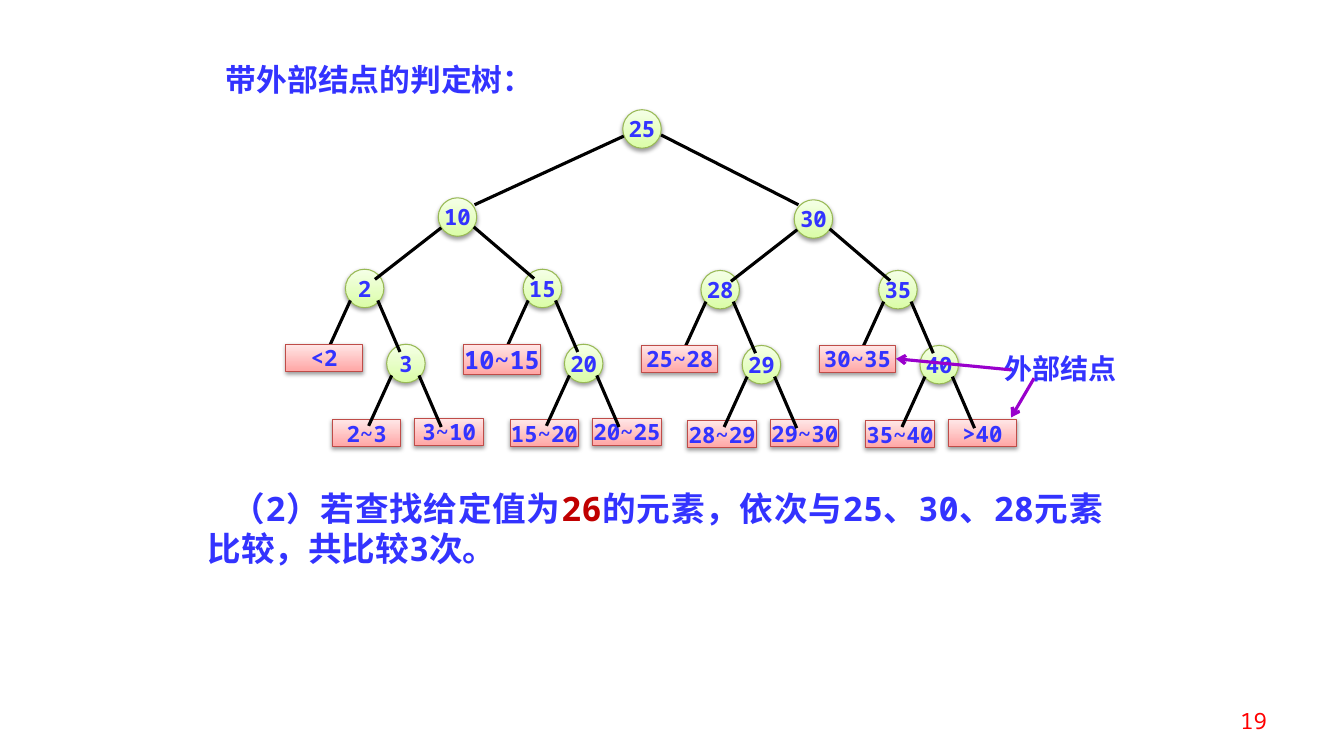
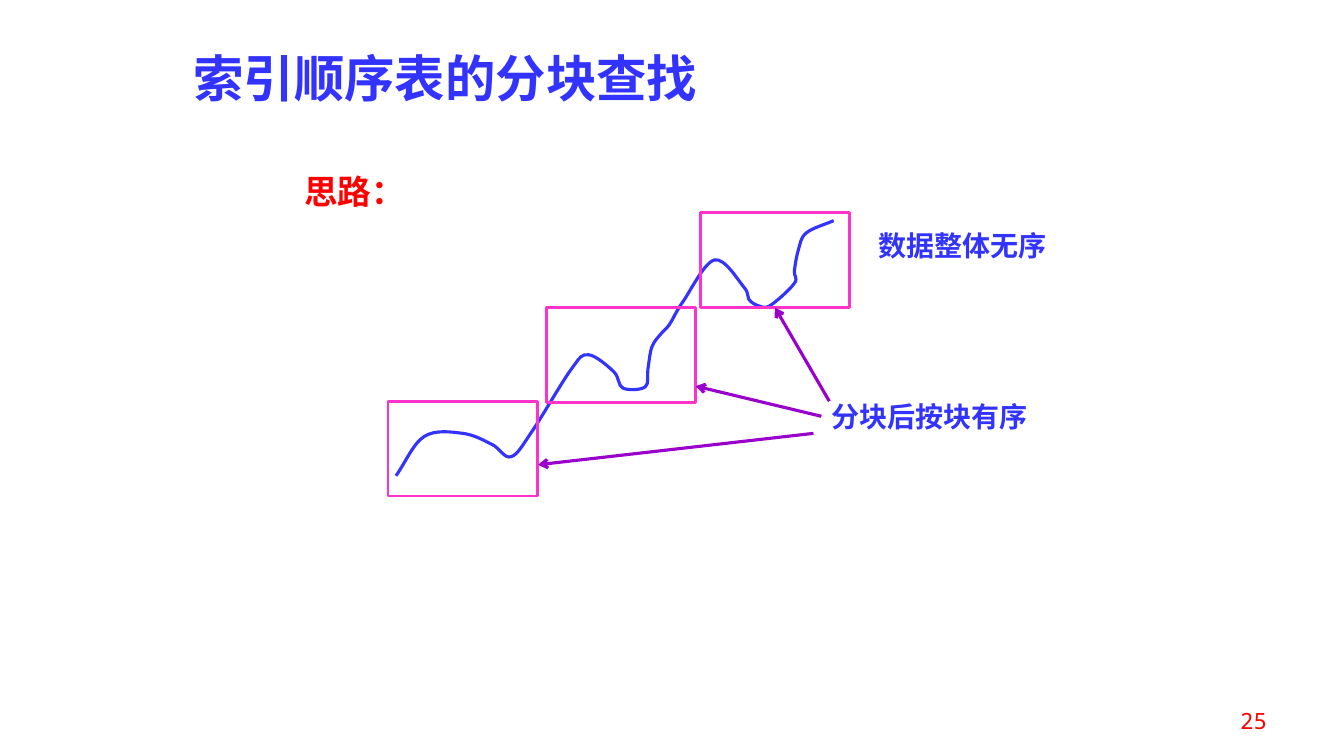
from dataclasses import dataclass

from lxml import etree
from pptx import Presentation
from pptx.dml.color import RGBColor
from pptx.enum import shapes, text
from pptx.oxml import ns
from pptx.util import Cm, Pt


@dataclass(frozen=True)
class Theme:
    mono: str = "Noto Sans Mono"
    sans: str = "Noto Sans CJK SC"
    blue: str = "3333FF"
    red: str = "FF0000"
    dark_red: str = "C00000"
    purple: str = "9900CC"
    pink: str = "FF33CC"
    black: str = "000000"
    node_fill: tuple = ("DAFDA7", "F5FFE7")
    node_line: str = "98B955"
    leaf_fill: tuple = ("FFA6A5", "FFE7E7")
    leaf_line: str = "BF4C48"
    heading: int = 36
    body: int = 24
    subheading: int = 22
    label: int = 20
    large_key: int = 18
    key: int = 16
    stroke: float = 2.25


THEME = Theme()
LEFT, CENTER = text.PP_ALIGN.LEFT, text.PP_ALIGN.CENTER
RIGHT, JUSTIFY = text.PP_ALIGN.RIGHT, text.PP_ALIGN.JUSTIFY
TOP, MIDDLE = text.MSO_ANCHOR.TOP, text.MSO_ANCHOR.MIDDLE


def rgb(code):
    return RGBColor.from_string(code)


def add_xml(parent, tag, **attributes):
    return etree.SubElement(parent, ns.qn(tag), attributes)


class Board:
    """Holds the style and the page being drawn; lengths are centimetres."""

    def __init__(self, theme):
        self.theme = theme
        self.deck = Presentation()
        self.deck.slide_width, self.deck.slide_height = Cm(33.87), Cm(19.05)
        self.page = None
        self.font = theme.mono

    def start_page(self, title, place, size, number, font):
        layout = self.deck.slide_layouts.get_by_name("Title Only")
        self.page = self.deck.slides.add_slide(layout)
        self.font = font
        box = self.page.shapes.title
        box.left, box.top, box.width, box.height = map(Cm, place)
        self.set_text(box, [(title, None)], size)
        self.text_box((24.28, 17.65, 7.9, 1.02), number, self.theme.key,
                      self.theme.red, align=RIGHT, anchor=MIDDLE, bold=False,
                      font=self.theme.mono)

    def set_text(self, box, spans, size, color=None, align=LEFT, anchor=TOP,
                 bold=True, font=None):
        """Fill a box with one paragraph of (wording, own colour) spans."""
        frame = box.text_frame
        frame.auto_size = text.MSO_AUTO_SIZE.NONE
        frame.word_wrap = True
        frame.vertical_anchor = anchor
        para = frame.paragraphs[0]
        para.alignment = align
        style = para.font
        style.name = font or self.font
        style.size, style.bold = Pt(size), bold
        style.color.rgb = rgb(color or self.theme.blue)
        add_xml(style._rPr, "a:ea", typeface=self.theme.sans)
        for wording, own_color in spans:
            span = para.add_run()
            span.text = wording
            if own_color:
                span.font.color.rgb = rgb(own_color)
        return para

    def text_box(self, place, wording, size, color=None, **style):
        spans = [(wording, None)] if isinstance(wording, str) else wording
        box = self.page.shapes.add_textbox(*map(Cm, place))
        return self.set_text(box, spans, size, color, **style)

    def key_shape(self, kind, place, wording, size, fill, line):
        """Add a shaded, shadowed tree element with a centred key."""
        shape = self.page.shapes.add_shape(kind, *map(Cm, place))
        shape.fill.gradient()
        shape.fill.gradient_angle = 90
        for stop, color in zip(shape.fill.gradient_stops, fill):
            stop.color.rgb = rgb(color)
        shape.line.color.rgb, shape.line.width = rgb(line), Pt(0.75)
        effects = add_xml(shape._element.spPr, "a:effectLst")
        shadow = add_xml(effects, "a:outerShdw", blurRad=str(Pt(3.1)),
                         dist=str(Pt(1.6)), dir="5400000", rotWithShape="0")
        tint = add_xml(shadow, "a:srgbClr", val=self.theme.black)
        add_xml(tint, "a:alpha", val="38000")
        self.set_text(shape, [(wording, None)], size, align=CENTER,
                      anchor=MIDDLE)
        frame = shape.text_frame
        frame.word_wrap = False
        frame.margin_left = frame.margin_right = 0
        frame.margin_top = frame.margin_bottom = 0

    def node(self, x, y, wording):
        size = 0.97
        self.key_shape(shapes.MSO_SHAPE.OVAL,
                       (x - size / 2, y - size / 2, size, size), wording,
                       self.theme.key, self.theme.node_fill,
                       self.theme.node_line)

    def leaf(self, x, top, width, wording, size=None):
        size = size or self.theme.key
        height = 0.76 if size > self.theme.key else 0.69
        self.key_shape(shapes.MSO_SHAPE.RECTANGLE,
                       (x - width / 2, top, width, height), wording, size,
                       self.theme.leaf_fill, self.theme.leaf_line)

    def line(self, start, end, color):
        connector = self.page.shapes.add_connector(
            shapes.MSO_CONNECTOR.STRAIGHT, *map(Cm, (*start, *end)))
        connector.line.color.rgb = rgb(color)
        connector.line.width = Pt(self.theme.stroke)
        add_xml(connector._element.spPr, "a:effectLst")
        return connector

    def edges(self, x, y, offsets):
        """Draw the branches of the node centred at x, y."""
        for (x1, y1), (x2, y2) in offsets:
            self.line((x + x1, y + y1), (x + x2, y + y2), self.theme.black)

    def arrow(self, start, end):
        connector = self.line(start, end, self.theme.purple)
        add_xml(connector.line._get_or_add_ln(), "a:tailEnd", type="arrow")

    def block(self, left, top):
        frame = self.page.shapes.add_shape(
            shapes.MSO_SHAPE.RECTANGLE, *map(Cm, (left, top, 3.76, 2.39)))
        frame.shadow.inherit = False
        frame.fill.background()
        frame.line.color.rgb, frame.line.width = rgb(self.theme.pink), Pt(2)

    def curve(self, knots):
        """Draw a smooth (Catmull-Rom) curve through the knots."""
        points = [(Cm(x), Cm(y)) for x, y in knots]
        builder = self.page.shapes.build_freeform(*points[0])
        builder.add_line_segments(points[1:], close=False)
        shape = builder.convert_to_shape()
        shape.shadow.inherit = False
        shape.fill.background()
        shape.line.color.rgb = rgb(self.theme.blue)
        shape.line.width = Pt(self.theme.stroke)

        spots = [(int(pt.get("x")), int(pt.get("y")))
                 for pt in shape._element.iter(ns.qn("a:pt"))]

        def mirrored(end, inner):
            return tuple(2 * a - b for a, b in zip(end, inner))

        chain = [mirrored(spots[0], spots[1]), *spots,
                 mirrored(spots[-1], spots[-2])]
        segments = list(shape._element.iter(ns.qn("a:lnTo")))
        for segment, quad in zip(segments, zip(chain, chain[1:], chain[2:],
                                               chain[3:])):
            before, start, end, after = quad
            leave = [s + (e - b) / 6 for b, s, e in zip(before, start, end)]
            arrive = [e - (a - s) / 6 for s, e, a in zip(start, end, after)]
            bezier = etree.Element(ns.qn("a:cubicBezTo"))
            for x, y in (leave, arrive, end):
                add_xml(bezier, "a:pt", x=str(round(x)), y=str(round(y)))
            segment.getparent().replace(segment, bezier)


ROOT_EDGES = (((-0.46, 0.18), (-4.22, 1.91)), ((0.48, 0.15), (3.94, 1.91)))
BRANCH_EDGES = (((-0.41, 0.27), (-2.08, 1.57)), ((0.41, 0.25), (1.93, 1.55)))
TWIG_EDGES = (((-0.36, 0.3), (-0.94, 1.57)), ((0.33, 0.3), (0.89, 1.6)))

# parent, right child, outer leaf, outer leaf size, two lower leaves
SUBTREES = (
    ("2", "3", "<2", THEME.key, "2~3", "3~10"),
    ("15", "20", "10~15", THEME.large_key, "15~20", "20~25"),
    ("28", "29", "25~28", THEME.key, "28~29", "29~30"),
    ("35", "40", "30~35", THEME.key, "35~40", ">40"),
)

KNOTS = (
    (9.98, 11.99), (10.69, 11), (11.66, 10.92), (12.4, 11.2), (12.88, 11.51),
    (13.41, 10.87), (14.4, 9.3), (14.83, 8.94), (15.47, 9.37), (15.7, 9.78),
    (16.26, 9.75), (16.33, 9.3), (16.43, 8.74), (16.66, 8.41), (16.87, 8.18),
    (17.22, 7.59), (18.01, 6.55), (18.75, 7.24), (18.87, 7.54), (19.1, 7.7),
    (19.41, 7.7), (20.02, 7.14), (20.02, 6.83), (20.12, 6.3), (20.32, 5.87),
    (21.01, 5.56),
)


def draw_subtree(board, x, y, keys):
    parent, child, outer, outer_size, lower_left, lower_right = keys
    child_x, child_y = x + 1.04, y + 1.89
    board.node(x, y, parent)
    board.node(child_x, child_y, child)
    board.leaf(x + 0.05, y + 3.3, 1.73, lower_left)
    board.leaf(x + 2.13, y + 3.27, 1.73, lower_right)
    board.edges(x, y, TWIG_EDGES)
    board.edges(child_x, child_y, TWIG_EDGES)
    board.leaf(x - 1.02, y + 1.4, 1.93, outer, outer_size)


def draw_decision_tree(board):
    theme = board.theme
    board.start_page("带外部结点的判定树：", (5.44, 1.4, 9.53, 1.19),
                     theme.subheading, "19", theme.mono)
    para = board.text_box(
        (4.98, 12.17, 23.06, 2.31),
        [("（2）若查找给定值为", None), ("26", theme.dark_red),
         ("的元素，依次与25、30、28元素比较，共比较3次。", None)],
        theme.body, align=JUSTIFY)
    para._p.get_or_add_pPr().set("indent", str(Cm(0.6)))

    for index, keys in enumerate(SUBTREES):
        draw_subtree(board, 9.19 + 4.48 * index, 7.27 + 0.03 * (index // 2),
                     keys)
    for x, y, key, offsets in ((11.53, 5.47, "10", BRANCH_EDGES),
                               (20.5, 5.52, "30", BRANCH_EDGES),
                               (16.18, 3.25, "25", ROOT_EDGES)):
        board.node(x, y, key)
        board.edges(x, y, offsets)

    board.text_box((25.07, 8.74, 3.96, 1.12), "外部结点", theme.label)
    board.arrow((26.06, 9.53), (25.48, 10.52))
    board.arrow((25.48, 9.32), (22.58, 9.04))


def draw_block_search(board):
    theme = board.theme
    board.start_page("索引顺序表的分块查找", (4.62, 1.07, 14.1, 1.8),
                     theme.heading, "25", theme.sans)
    board.text_box((7.42, 4.17, 3.86, 1.27), "思路：", theme.body, theme.red)
    board.curve(KNOTS)
    for left, top in ((9.78, 10.11), (13.77, 7.75), (17.65, 5.36)):
        board.block(left, top)
    board.text_box((21.89, 5.64, 5.36, 1.12), "数据整体无序", theme.label)
    board.text_box((20.7, 9.93, 6.55, 1.12), "分块后按块有序", theme.label)
    for start, end in (((20.5, 10.92), (13.56, 11.71)),
                       ((20.7, 10.49), (17.53, 9.73)),
                       ((20.9, 10.11), (19.53, 7.75))):
        board.arrow(start, end)


def main():
    board = Board(THEME)
    draw_decision_tree(board)
    draw_block_search(board)
    board.deck.save("out.pptx")


if __name__ == "__main__":
    main()
